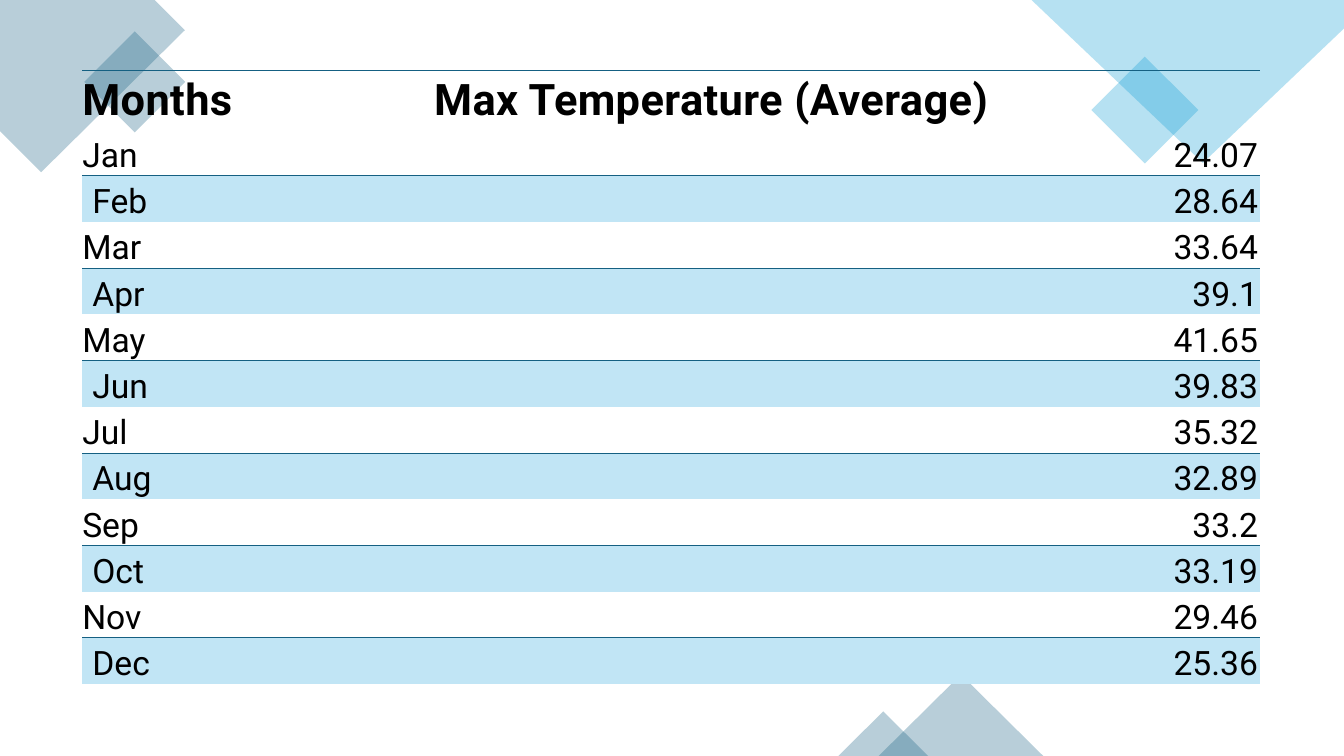
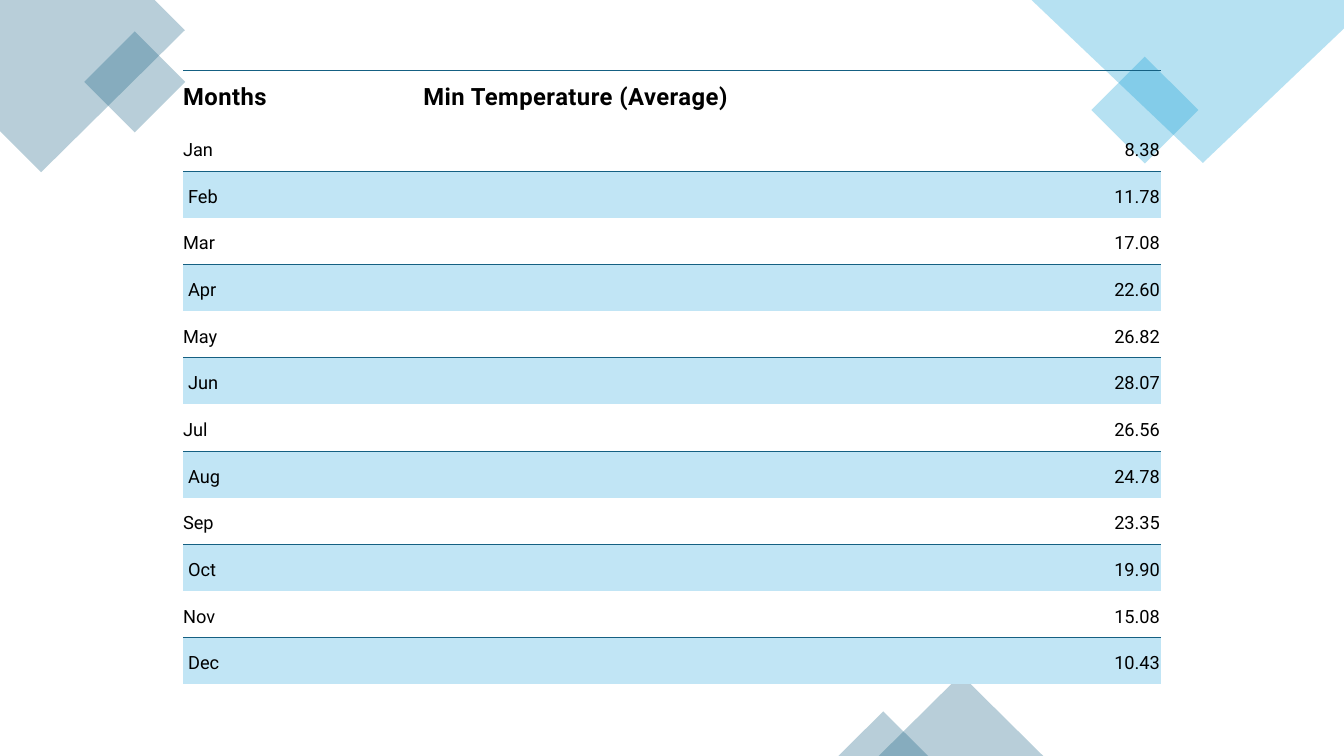
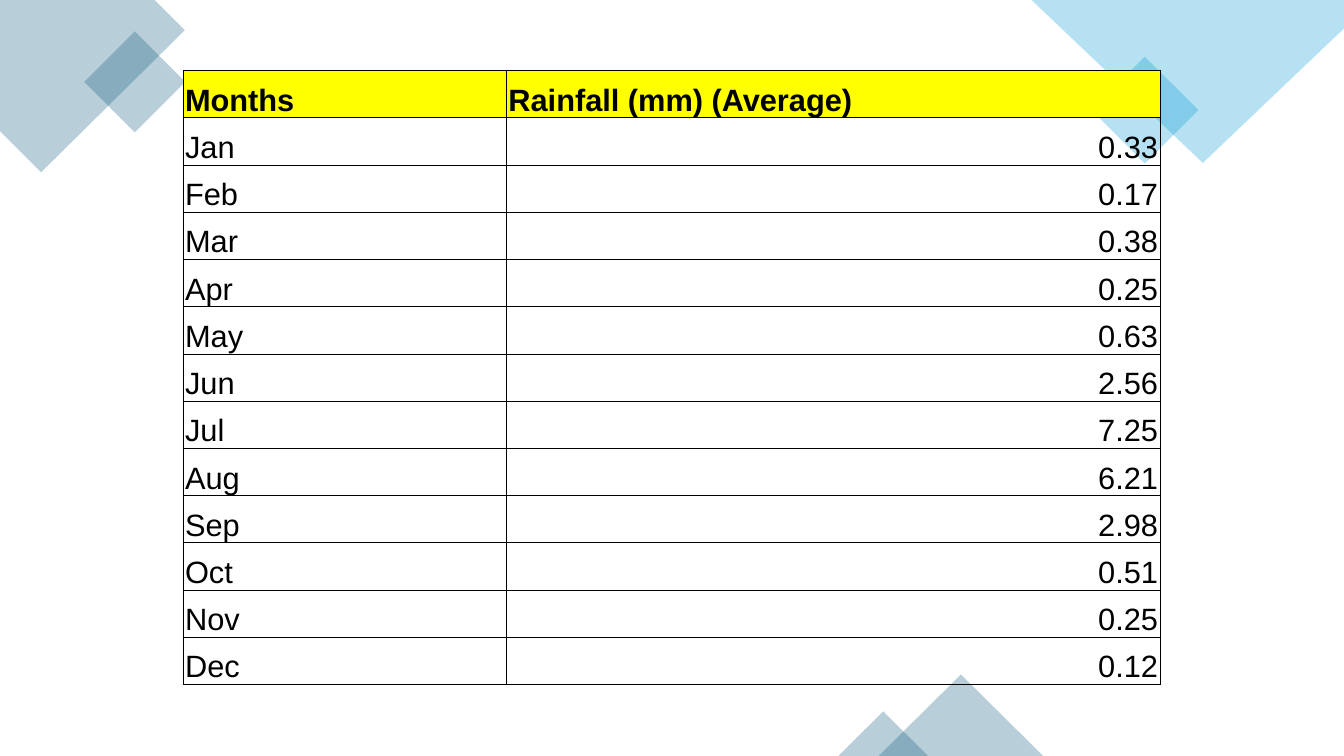
from dataclasses import dataclass

from lxml.etree import SubElement
from pptx import Presentation
from pptx.dml.color import RGBColor
from pptx.enum.shapes import MSO_SHAPE
from pptx.enum.text import MSO_ANCHOR, PP_ALIGN
from pptx.oxml import parse_xml
from pptx.oxml.ns import nsdecls, qn
from pptx.util import Inches, Pt

GRID_COLUMNS, GRID_ROWS = 16, 9
SLIDE_HEIGHT = Inches(7.5)
UNIT = SLIDE_HEIGHT / GRID_ROWS

TEAL = RGBColor(0x15, 0x60, 0x82)
SKY = RGBColor(0x0F, 0x9E, 0xD5)
BAND_BLUE = RGBColor(0xC1, 0xE5, 0xF5)
YELLOW = RGBColor(0xFF, 0xFF, 0x00)
BLACK = RGBColor(0x00, 0x00, 0x00)

OPACITY = 30
TABLE_TOP, TABLE_HEIGHT = 0.84, 7.31
MONTHS = "Jan Feb Mar Apr May Jun Jul Aug Sep Oct Nov Dec".split()
MAX_TEMPERATURES = "24.07 28.64 33.64 39.1 41.65 39.83 35.32 32.89 33.2 33.19 29.46 25.36".split()
MIN_TEMPERATURES = "8.38 11.78 17.08 22.60 26.82 28.07 26.56 24.78 23.35 19.90 15.08 10.43".split()
RAINFALL = "0.33 0.17 0.38 0.25 0.63 2.56 7.25 6.21 2.98 0.51 0.25 0.12".split()


@dataclass
class TableLook:
    """Grid lengths, type sizes in points and cell insets in inches."""
    left: float
    columns: tuple
    header_height: float
    header_size: int
    body_size: int
    insets: tuple
    font: str = "Roboto"
    banded: bool = True
    band_indent: float = 0


MAX_LOOK = TableLook(0.98, (4.19, 9.83), 0.7, 31, 24, (0, 0.02, 0.02, 0), band_indent=0.1)
MIN_LOOK = TableLook(2.18, (2.86, 8.78), 0.64, 17, 13, (0, 0.1, 0.01, 0.1), band_indent=0.05)
RAIN_LOOK = TableLook(2.18, (3.85, 7.78), TABLE_HEIGHT / 13, 22, 22,
                      (0.02, 0.02, 0.02, 0), font="Arial", banded=False)


def grid(*lengths):
    """Convert grid units to whole EMU."""
    return [round(length * UNIT) for length in lengths]


def tint(shape, color):
    """Give a shape a translucent fill without line or shadow."""
    shape.shadow.inherit = False
    shape.line.fill.background()
    shape.fill.solid()
    shape.fill.fore_color.rgb = color
    fill_color = shape.element.spPr.find(qn("a:solidFill")).find(qn("a:srgbClr"))
    SubElement(fill_color, qn("a:alpha")).set("val", str(OPACITY * 1000))


def add_corner(slide, points, color):
    """Draw a cropped corner square through grid points."""
    start, *others = [grid(*point) for point in points]
    outline = slide.shapes.build_freeform(*start)
    outline.add_line_segments(others, close=True)
    tint(outline.convert_to_shape(), color)


def add_accent(slide, preset, box, color, rotation=0):
    """Draw a preset shape in a grid box."""
    accent = slide.shapes.add_shape(preset, *grid(*box))
    accent.rotation = rotation
    tint(accent, color)


def add_decoration(slide):
    """Draw the overlapping squares that every slide shares."""
    add_corner(slide, [(1.84, 0), (0, 0), (0, 1.56), (0.49, 2.05), (2.2, 0.36)], TEAL)
    add_accent(slide, MSO_SHAPE.RECTANGLE, (1.18, 0.55, 0.85, 0.85), TEAL, 315)
    add_accent(slide, MSO_SHAPE.RECTANGLE, (13.18, 0.86, 0.9, 0.9), SKY, 315)
    add_corner(slide, [(16, 0), (12.28, 0), (14.32, 1.94), (16, 0.34)], SKY)
    add_accent(slide, MSO_SHAPE.ISOSCELES_TRIANGLE, (10.46, 8.03, 1.96, 0.97), TEAL)
    add_accent(slide, MSO_SHAPE.ISOSCELES_TRIANGLE, (9.98, 8.47, 1.07, 0.53), TEAL)


def set_borders(cell, color, widths):
    """Set the cell borders by side; a side without a width gets none."""
    properties = cell._tc.get_or_add_tcPr()
    for position, side in enumerate("LRTB"):
        if side in widths:
            size = f'w="{Pt(widths[side])}"'
            paint = f'<a:solidFill><a:srgbClr val="{color}"/></a:solidFill>'
        else:
            size, paint = 'w="0"', "<a:noFill/>"
        border = parse_xml(f'<a:ln{side} {nsdecls("a")} {size}>{paint}</a:ln{side}>')
        properties.insert(position, border)


def row_paint(look, row, last_row):
    """Return fill, border colour and border widths of a row."""
    if not look.banded:
        return (None if row else YELLOW), BLACK, dict.fromkeys("LRTB", 0.5)
    if row == 0:
        return None, TEAL, {"T": 1.5}
    if row % 2 == 0:
        return BAND_BLUE, TEAL, {"T": 0.75}
    return None, TEAL, {"B": 0.75} if row < last_row else {}


def write_cell(cell, text, look, is_header, align):
    """Write one styled run in a cell."""
    paragraph = cell.text_frame.paragraphs[0]
    paragraph.alignment = align
    run = paragraph.add_run()
    run.text = text
    run.font.name = look.font
    run.font.size = Pt(look.header_size if is_header else look.body_size)
    run.font.bold = is_header
    run.font.color.rgb = BLACK
    if is_header and look.banded:
        run._r.get_or_add_rPr().set("spc", "30")


def format_cell(cell, look, fill, border_color, widths, anchor):
    """Set the insets, anchor, fill and borders of a cell."""
    left, top, right, bottom = look.insets
    cell.margin_left = Inches(look.band_indent if fill == BAND_BLUE else left)
    cell.margin_top, cell.margin_right = Inches(top), Inches(right)
    cell.margin_bottom = Inches(bottom)
    cell.vertical_anchor = anchor
    if fill is None:
        cell.fill.background()
    else:
        cell.fill.solid()
        cell.fill.fore_color.rgb = fill
    set_borders(cell, border_color, widths)


def add_month_table(slide, heading, values, look):
    """Add a table of months and their average values."""
    rows = [("Months", heading), *zip(MONTHS, values)]
    box = grid(look.left, TABLE_TOP, sum(look.columns), TABLE_HEIGHT)
    table = slide.shapes.add_table(len(rows), len(look.columns), *box).table
    table.horz_banding = False
    for column, width in zip(table.columns, grid(*look.columns)):
        column.width = width
    month_height = (TABLE_HEIGHT - look.header_height) / len(MONTHS)
    for row, texts in enumerate(rows):
        is_header = row == 0
        table.rows[row].height = grid(look.header_height if is_header else month_height)[0]
        paint = row_paint(look, row, len(MONTHS))
        anchor = MSO_ANCHOR.MIDDLE if is_header and look.banded else MSO_ANCHOR.BOTTOM
        for column, text in enumerate(texts):
            cell = table.cell(row, column)
            align = PP_ALIGN.RIGHT if column and not is_header else PP_ALIGN.LEFT
            write_cell(cell, text, look, is_header, align)
            format_cell(cell, look, *paint, anchor)


def main():
    """Build the three climate tables."""
    deck = Presentation()
    deck.slide_width, deck.slide_height = grid(GRID_COLUMNS, GRID_ROWS)
    blank_layout = deck.slide_layouts[6]
    for heading, values, look in (
        ("Max Temperature (Average)", MAX_TEMPERATURES, MAX_LOOK),
        ("Min Temperature (Average)", MIN_TEMPERATURES, MIN_LOOK),
        ("Rainfall (mm) (Average)", RAINFALL, RAIN_LOOK),
    ):
        slide = deck.slides.add_slide(blank_layout)
        add_decoration(slide)
        add_month_table(slide, heading, values, look)
    deck.save("out.pptx")


if __name__ == "__main__":
    main()
